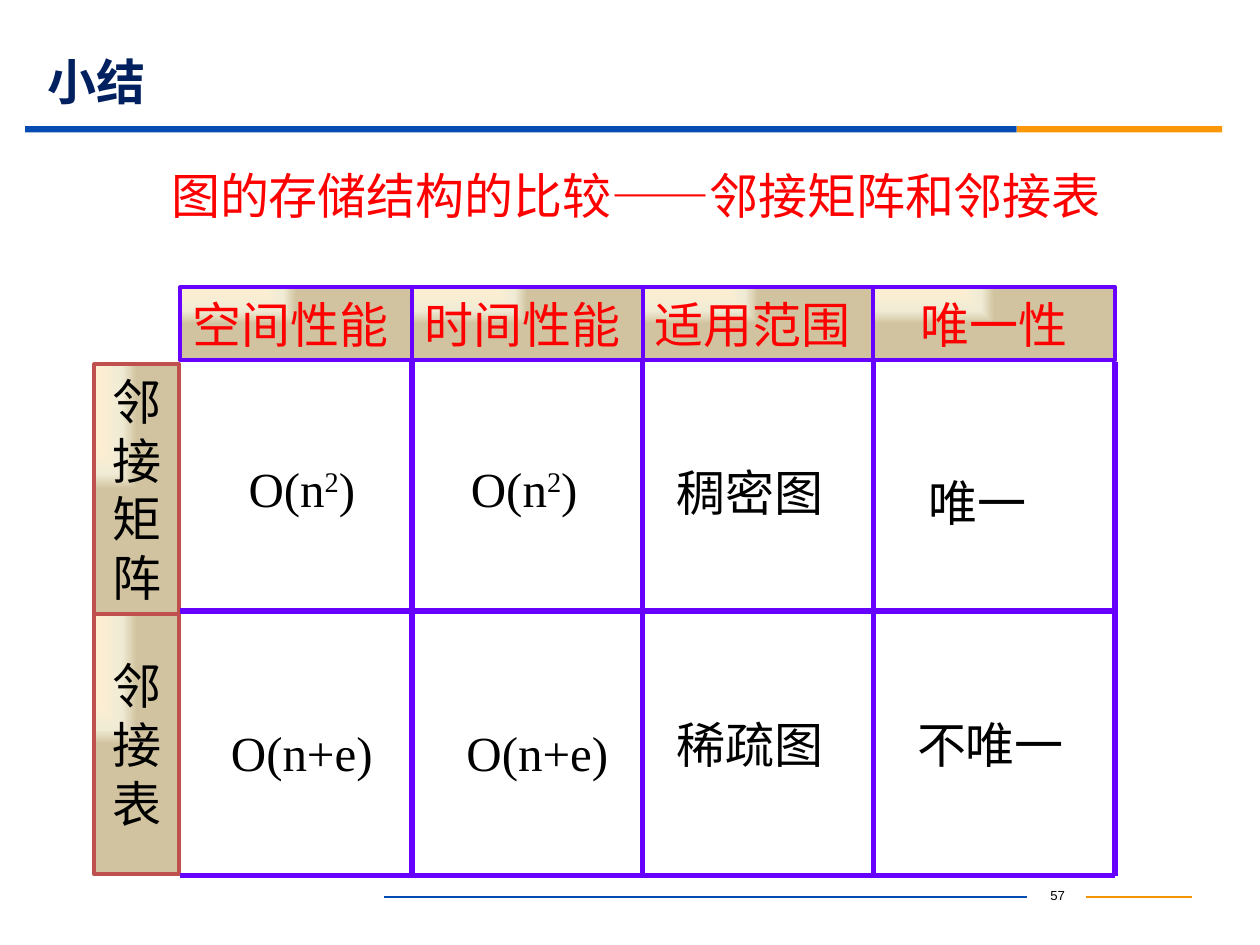
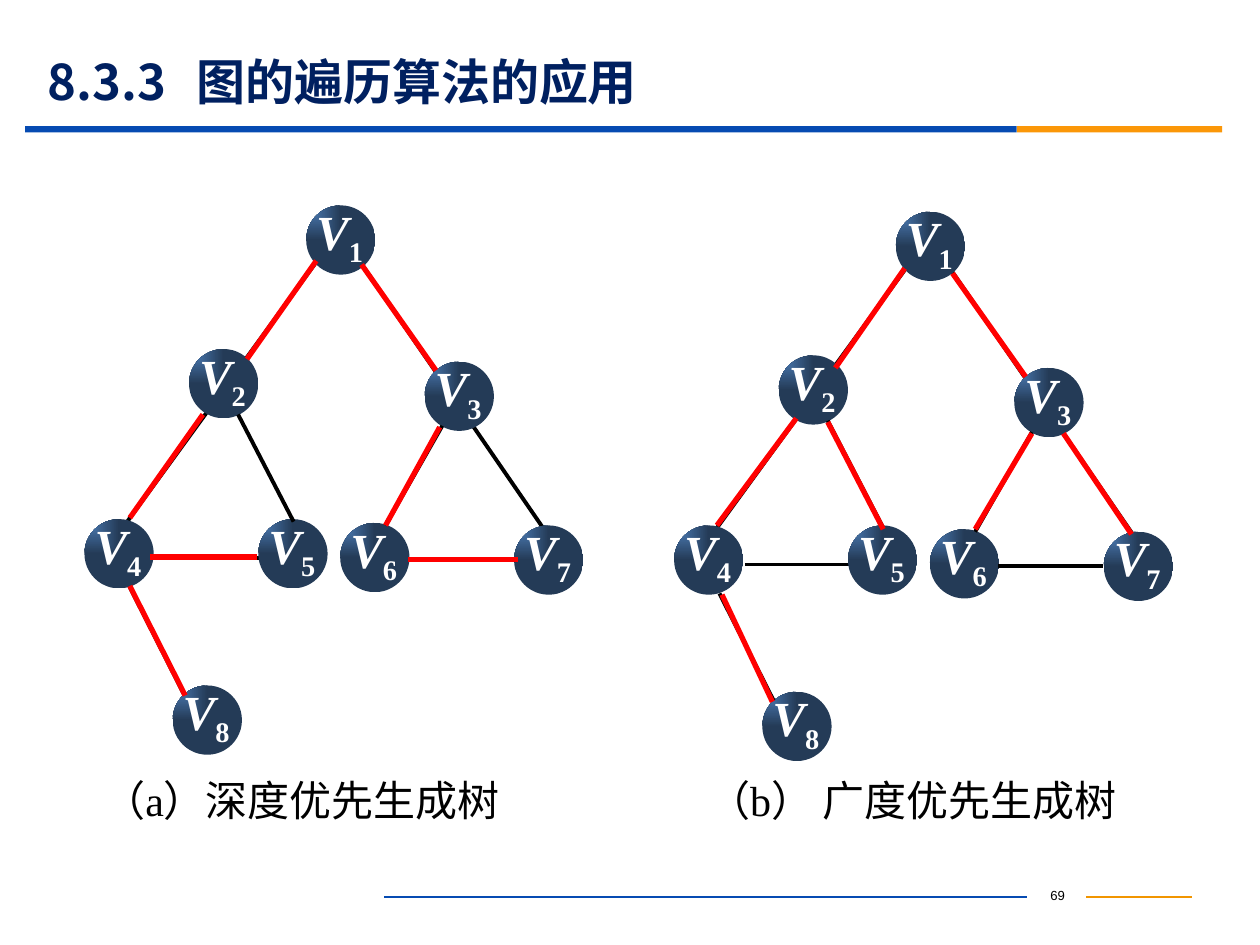
"""Build two slides: comparing graph storage structures, and spanning trees from graph traversal."""
from dataclasses import dataclass

from lxml.etree import SubElement
from pptx import Presentation
from pptx.dml.color import RGBColor
from pptx.enum.shapes import MSO_CONNECTOR, MSO_SHAPE
from pptx.enum.text import MSO_ANCHOR, MSO_AUTO_SIZE, PP_ALIGN
from pptx.oxml import parse_xml
from pptx.oxml.ns import nsdecls, qn
from pptx.util import Pt

PX = 9144


@dataclass(frozen=True)
class Theme:
    navy: str = "002060"
    blue: str = "064BB2"
    orange: str = "FB9708"
    footer_orange: str = "F19500"
    red: str = "FF0000"
    black: str = "000000"
    white: str = "FFFFFF"
    violet: str = "6600FF"
    brick: str = "C0504D"
    parchment: tuple = ((0, "FFEFD1"), (65, "F0EBD5"), (100, "D1C39F"))
    sphere: tuple = ((0, "4F81BD"), (100, "243B57"))
    sans: str = "Noto Sans CJK SC"
    serif: str = "Times New Roman"
    footer_font: str = "Arial"
    large: int = 28
    caption: int = 24
    footer: float = 7.5


theme = Theme()


def add_box(shapes, box, text="", kind=None, placeholder=None, fill=None, gradient=None,
            outline=None, font=theme.serif, size=theme.large, color=theme.black, bold=False,
            italic=False, align=PP_ALIGN.LEFT, anchor=MSO_ANCHOR.TOP, wrap=True,
            insets=(10, 5, 10, 5), script=None, baseline=0, tab=None):
    left, top, width, height = (value * PX for value in box)
    if placeholder is not None:
        shape = placeholder
        shape.left, shape.top, shape.width, shape.height = left, top, width, height
    elif kind is not None:
        shape = shapes.add_shape(kind, left, top, width, height)
        shape.shadow.inherit = False
    else:
        shape = shapes.add_textbox(left, top, width, height)
    if fill:
        shape.fill.solid()
        shape.fill.fore_color.rgb = RGBColor.from_string(fill)
    if gradient:
        stops = "".join(f'<a:gs pos="{position * 1000}"><a:srgbClr val="{stop}"/></a:gs>'
                        for position, stop in gradient)
        gradient_fill = parse_xml(
            f'<a:gradFill {nsdecls("a")} rotWithShape="1"><a:gsLst>{stops}</a:gsLst>'
            '<a:path path="rect"><a:fillToRect r="100000" b="100000"/></a:path></a:gradFill>')
        shape._element.spPr.find(qn("a:prstGeom")).addnext(gradient_fill)
    if outline:
        shape.line.color.rgb = RGBColor.from_string(outline)
        shape.line.width = Pt(2.25)
    elif kind is not None:
        shape.line.fill.background()
    if not text:
        return
    frame = shape.text_frame
    frame.auto_size = MSO_AUTO_SIZE.NONE
    frame.word_wrap = wrap
    frame.vertical_anchor = anchor
    frame.margin_left, frame.margin_top, frame.margin_right, frame.margin_bottom = (
        value * PX for value in insets)
    for index, line in enumerate(text.split("\n")):
        paragraph = frame.add_paragraph() if index else frame.paragraphs[0]
        paragraph.alignment = align
        if tab:
            tab_list = SubElement(paragraph._p.get_or_add_pPr(), qn("a:tabLst"))
            SubElement(tab_list, qn("a:tab"), pos=str(tab * PX), algn="l")
        for piece in line.partition(script) if script else [line]:
            if not piece:
                continue
            run = paragraph.add_run()
            run.text = piece
            run.font.name = font
            run.font.size = Pt(size)
            run.font.bold = bold
            run.font.italic = italic and piece != script
            run.font.color.rgb = RGBColor.from_string(color)
            properties = run._r.get_or_add_rPr()
            SubElement(properties, qn("a:ea"), typeface=theme.sans)
            if piece == script:
                properties.set("baseline", str(baseline * 1000))


def add_line(slide, ends, color, width, shift=(0, 0)):
    points = [(value + shift[index % 2]) * PX for index, value in enumerate(ends)]
    connector = slide.shapes.add_connector(MSO_CONNECTOR.STRAIGHT, *points)
    connector.line.color.rgb = RGBColor.from_string(color)
    connector.line.width = Pt(width)
    SubElement(connector._element.spPr, qn("a:effectLst"))


presentation = Presentation()
presentation.slide_width, presentation.slide_height = 1000 * PX, 750 * PX

slides = []
for title, tab, number in [("小结", None, "57"), ("8.3.3\t图的遍历算法的应用", 118, "69")]:
    slide = presentation.slides.add_slide(presentation.slide_layouts[5])
    add_box(slide.shapes, (28, 43, 900, 43), title, placeholder=slide.shapes.title,
            font=theme.sans, color=theme.navy, bold=True, anchor=MSO_ANCHOR.MIDDLE, tab=tab)
    add_box(slide.shapes, (20, 100, 787, 5), kind=MSO_SHAPE.RECTANGLE, fill=theme.blue)
    add_box(slide.shapes, (807, 100, 163, 5), kind=MSO_SHAPE.RECTANGLE, fill=theme.orange)
    add_line(slide, (305, 712, 815, 712), theme.blue, 0.75)
    add_line(slide, (862, 712, 946, 712), theme.footer_orange, 0.75)
    add_box(slide.shapes, (816, 699, 47, 25), number, font=theme.footer_font,
            size=theme.footer, align=PP_ALIGN.CENTER)
    slides.append(slide)
summary_slide, trees_slide = slides

add_box(summary_slide.shapes, (126, 125, 852, 58), "图的存储结构的比较——邻接矩阵和邻接表",
        font=theme.sans, color=theme.red, anchor=MSO_ANCHOR.BOTTOM)

column_edges = [143, 327, 510, 693, 885]
column_headers = ["空间性能", "时间性能", "适用范围", "唯一性"]
for header, left, right in zip(column_headers, column_edges, column_edges[1:]):
    add_box(summary_slide.shapes, (left, 228, right - left, 58), header,
            kind=MSO_SHAPE.RECTANGLE, gradient=theme.parchment, outline=theme.violet,
            color=theme.red, anchor=MSO_ANCHOR.MIDDLE, wrap=False,
            align=PP_ALIGN.CENTER if header == "唯一性" else PP_ALIGN.LEFT)

for header, top, height in [("邻\n接\n矩\n阵", 289, 198), ("邻\n接\n表", 487, 207)]:
    add_box(summary_slide.shapes, (75, top, 67, height), header,
            kind=MSO_SHAPE.RECTANGLE, gradient=theme.parchment, outline=theme.brick,
            align=PP_ALIGN.CENTER, anchor=MSO_ANCHOR.MIDDLE, wrap=False)

for complexity, left, top, width in [("O(n2)", 152, 362, 175), ("O(n+e)", 152, 572, 175),
                                     ("O(n2)", 335, 362, 162), ("O(n+e)", 335, 572, 183)]:
    add_box(summary_slide.shapes, (left, top, width, 50), complexity, script="2", baseline=30,
            align=PP_ALIGN.CENTER, anchor=MSO_ANCHOR.MIDDLE, wrap=False)

for trait, left, top, width in [("稠密图", 527, 362, 150), ("稀疏图", 527, 562, 167),
                                ("唯一", 727, 370, 117), ("不唯一", 718, 562, 150)]:
    add_box(summary_slide.shapes, (left, top, width, 57), trait)

for row_edge in [485, 695]:
    add_line(summary_slide, (column_edges[0], row_edge, column_edges[-1], row_edge),
             theme.violet, 3)
for column_edge in column_edges[1:]:
    add_line(summary_slide, (column_edge, 287, column_edge, 695), theme.violet, 3)

vertices = [(243, 163), (150, 277), (337, 287), (67, 412),
            (205, 412), (270, 415), (408, 417), (137, 544)]
edges_behind = [(206, 443, 123, 443), (288, 211, 431, 419), (251, 208, 101, 414)]
edges_in_front = [(189, 329, 233, 414), (351, 338, 306, 417),
                  (407, 444, 324, 444), (103, 466, 146, 551)]
depth_first_edges = [(251, 207, 196, 285), (161, 329, 103, 411), (204, 442, 119, 442),
                     (147, 552, 103, 465), (346, 294, 287, 210), (306, 417, 349, 339),
                     (324, 444, 411, 444)]
breadth_first_edges = [(718, 213, 663, 292), (756, 217, 814, 299), (632, 332, 569, 417),
                       (657, 335, 701, 420), (819, 344, 774, 420), (844, 344, 898, 424),
                       (573, 472, 613, 557)]

add_box(trees_slide.shapes, (82, 614, 863, 36), "（a）深度优先生成树\t（b） 广度优先生成树",
        size=theme.caption, insets=(0, 1, 0, 1), tab=480)
for shift in [(0, 0), (468, 5)]:
    for edge in edges_behind:
        add_line(trees_slide, edge, theme.black, 2.25, shift)
    for number, (x, y) in enumerate(vertices, 1):
        left, top = x + shift[0], y + shift[1]
        vertex = trees_slide.shapes.add_group_shape()
        add_box(vertex.shapes, (left, top, 55, 55), kind=MSO_SHAPE.OVAL, gradient=theme.sphere)
        add_box(vertex.shapes, (left + 7, top - 6, 51, 65), f"V{number}", color=theme.white,
                bold=True, italic=True, insets=(1, 3, 0, 1), script=str(number), baseline=-25)
    for edge in edges_in_front:
        add_line(trees_slide, edge, theme.black, 2.25, shift)
for edge in depth_first_edges + breadth_first_edges:
    add_line(trees_slide, edge, theme.red, 3)

presentation.save("out.pptx")
